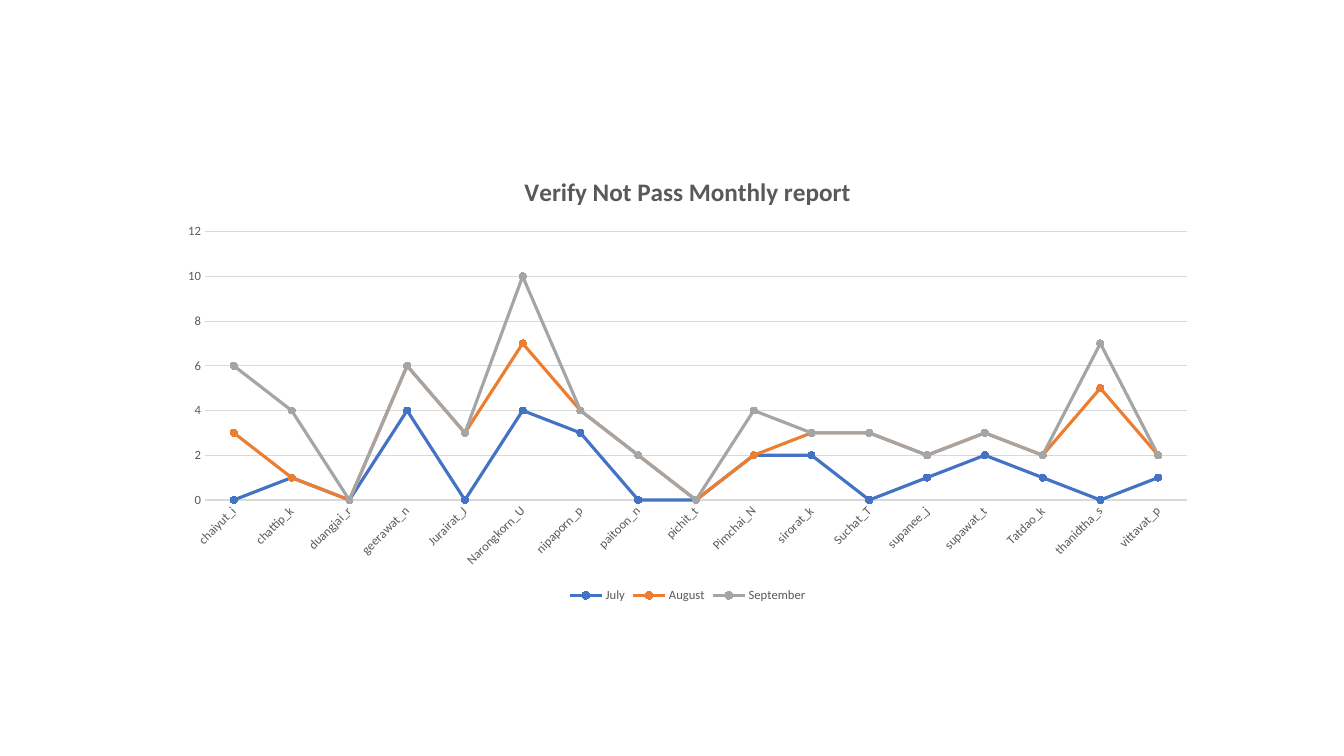
from dataclasses import dataclass
from typing import Optional

from pptx import Presentation
from pptx.chart.data import CategoryChartData as ChartData
from pptx.chart.chart import Chart
from pptx.dml.color import RGBColor
from pptx.enum.chart import XL_CHART_TYPE as Kind
from pptx.enum.chart import XL_LEGEND_POSITION as Place
from pptx.enum.chart import XL_MARKER_STYLE as Mark
from pptx.enum.chart import XL_TICK_MARK as Tick
from pptx.util import Inches, Pt

FACE = "Calibri"
GREY = "595959"
RULE = "D9D9D9"


@dataclass
class Month:
    name: str
    color: str
    counts: list[Optional[int]]


USERS = [
    "chaiyut_i", "chattip_k", "duangjai_r", "geerawat_n", "Jurairat_J",
    "Narongkorn_U", "nipaporn_p", "paitoon_n", "pichit_t", "Pimchai_N",
    "sirorat_k", "Suchat_T", "supanee_j", "supawat_t", "Tatdao_k",
    "thanidtha_s", "vittavat_p",
]
NA = None
MONTHS = [
    Month("July", "4472C4",
          [NA, 1, NA, 4, NA, 4, 3, NA, NA, 2, 2, NA, 1, 2, 1, NA, 1]),
    Month("August", "ED7D31",
          [3, NA, NA, 2, 3, 3, 1, 2, NA, NA, 1, 3, 1, 1, 1, 5, 1]),
    Month("September", "A5A5A5",
          [3, 3, NA, NA, NA, 3, NA, NA, NA, 2, NA, NA, NA, NA, NA, 2, NA]),
]


def paint(item, color: str) -> None:
    """Give a fill or a font a solid colour."""
    if hasattr(item, "solid"):
        item.solid()
        item.fore_color.rgb = RGBColor.from_string(color)
    else:
        item.color.rgb = RGBColor.from_string(color)


def style_font(font, size: float, color: str = GREY, bold: bool = False) -> None:
    font.name, font.size, font.bold = FACE, Pt(size), bold
    paint(font, color)


def style_line(line, color: str, width: float) -> None:
    paint(line.fill, color)
    line.width = Pt(width)


def set_title(chart: Chart, text: str) -> None:
    chart.has_title = True
    frame = chart.chart_title.text_frame
    frame.text = text
    style_font(frame.paragraphs[0].font, 18, bold=True)
    chart.chart_title.include_in_layout = False


def set_axes(chart: Chart) -> None:
    users, count = chart.category_axis, chart.value_axis
    for axis in (users, count):
        axis.major_tick_mark = axis.minor_tick_mark = Tick.NONE
        style_font(axis.tick_labels.font, 9)
    style_line(users.format.line, RULE, 0.75)
    users._element.txPr.bodyPr.set("rot", str(-45 * 60000))
    count.format.line.fill.background()
    count.minimum_scale, count.maximum_scale, count.major_unit = 0, 12, 2
    count.has_major_gridlines = True
    style_line(count.major_gridlines.format.line, RULE, 0.75)


def style_months(chart: Chart) -> None:
    for line, month in zip(chart.plots[0].series, MONTHS):
        line.smooth = False
        style_line(line.format.line, month.color, 2.25)
        line.marker.style, line.marker.size = Mark.CIRCLE, 5
        paint(line.marker.format.fill, month.color)
        style_line(line.marker.format.line, month.color, 0.75)


def set_legend(chart: Chart) -> None:
    chart.has_legend = True
    chart.legend.position = Place.BOTTOM
    chart.legend.include_in_layout = False
    style_font(chart.legend.font, 9)


def main() -> None:
    deck = Presentation()
    deck.slide_width, deck.slide_height = Inches(13.33), Inches(7.5)
    slide = deck.slides.add_slide(deck.slide_layouts[6])

    # Monthly counts, stacked by user
    data = ChartData()
    data.categories = USERS
    for month in MONTHS:
        data.add_series(month.name, month.counts)
    chart = slide.shapes.add_chart(
        Kind.LINE_MARKERS_STACKED, Inches(1.66), Inches(1.54),
        Inches(10.32), Inches(4.48), data).chart
    style_font(chart.font, 10, "000000")
    chart.plots[0].vary_by_categories = False

    # Missing counts are drawn as zero
    for blank in chart._chartSpace.xpath("c:chart/c:dispBlanksAs"):
        blank.set("val", "zero")

    set_title(chart, "Verify Not Pass Monthly report")
    set_axes(chart)
    style_months(chart)
    set_legend(chart)
    deck.save("out.pptx")


if __name__ == "__main__":
    main()
